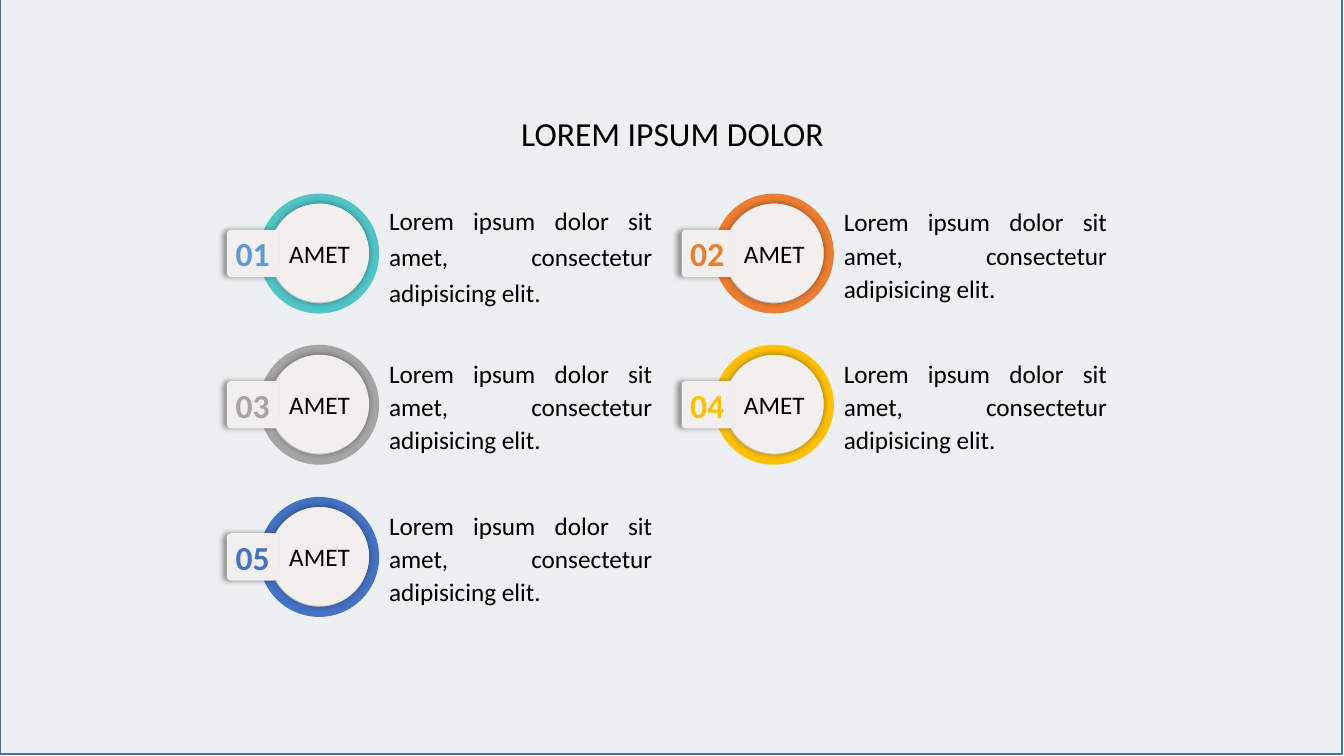
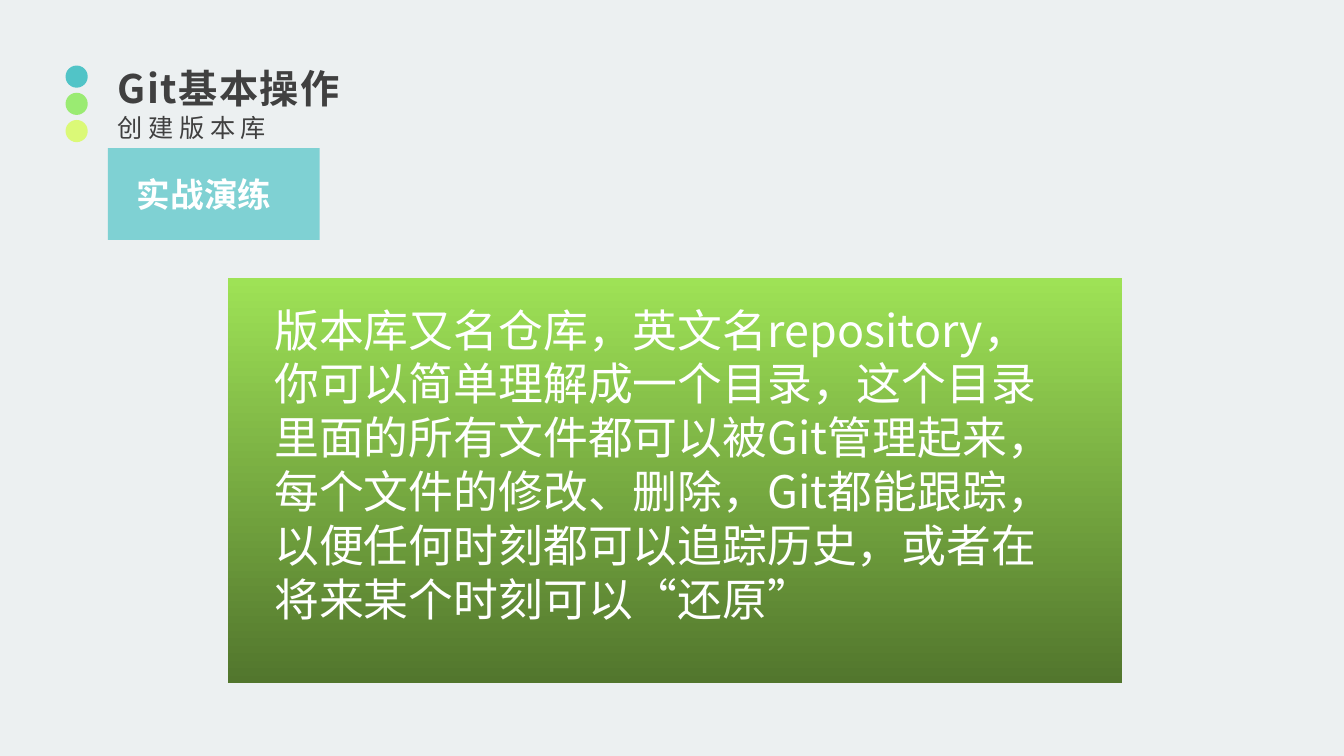
"""Build two slides: a numbered grid of topics and a Git repository lesson."""
from dataclasses import dataclass

from lxml import etree
from pptx import Presentation
from pptx import util as u
from pptx.dml.color import RGBColor
from pptx.enum import shapes, text
from pptx.oxml.ns import qn

PX = 9144
FORM = shapes.MSO_SHAPE
ALIGN = text.PP_ALIGN
ANCHOR = text.MSO_ANCHOR


@dataclass(frozen=True)
class Theme:
    page: str = "ECF0F1"
    white: str = "FFFFFF"
    black: str = "000000"
    heading: str = "404040"
    border: str = "43739E"
    paper: str = "F3EFEF"
    teal: str = "51C4C7"
    dots: tuple = ("51C4C7", "9AEB72", "DBF977")
    panel: tuple = ("9EE256", "52762D")
    latin: str = "Calibri"
    chinese: str = "Noto Sans CJK SC"
    small: int = 18
    medium: int = 24
    large: int = 28
    lesson: int = 32


THEME = Theme()


def draw(slide, form, box, fill, shadow=None):
    part = slide.shapes.add_shape(form, *(n * PX for n in box))
    part.shadow.inherit = False
    part.line.fill.background()
    part.fill.solid()
    part.fill.fore_color.rgb = RGBColor.from_string(fill)
    if shadow:
        blur, distance, angle = shadow
        effects = part.element.spPr.find(qn("a:effectLst"))
        outer = etree.SubElement(effects, qn("a:outerShdw"), blurRad=str(u.Pt(blur)),
                                 dist=str(u.Pt(distance)), dir=str(angle * 60000),
                                 algn="ctr", rotWithShape="0")
        tint = etree.SubElement(outer, qn("a:srgbClr"), val=THEME.black)
        etree.SubElement(tint, qn("a:alpha"), val="40000")
    return part


def write(part, words, size, color, face=THEME.latin, bold=False, spacing=0,
          align=ALIGN.LEFT, anchor=ANCHOR.TOP, leading=1.0, inset=None, box=None):
    if box:
        part.left, part.top, part.width, part.height = (n * PX for n in box)
    frame = part.text_frame
    frame.text = words
    paragraph = frame.paragraphs[0]
    run = paragraph.runs[0]
    frame_format = {"word_wrap": True, "auto_size": text.MSO_AUTO_SIZE.NONE,
                    "vertical_anchor": anchor}
    if inset is not None:
        frame_format |= {f"margin_{side}": inset for side in ("left", "top", "right", "bottom")}
    formats = (
        (frame, frame_format),
        (paragraph, {"alignment": align, "line_spacing": leading, "space_before": u.Pt(0)}),
        (run.font, {"name": face, "size": u.Pt(size), "bold": bold}),
        (run.font.color, {"rgb": RGBColor.from_string(color)}),
    )
    for target, values in formats:
        for name, value in values.items():
            setattr(target, name, value)
    for properties in part.element.iter(qn("a:rPr")):
        etree.SubElement(properties, qn("a:ea"), typeface=face)
        if spacing:
            properties.set("spc", str(spacing * 100))


prs = Presentation()
prs.slide_width, prs.slide_height = 1333 * PX, 750 * PX
page_fill = prs.slide_master.background.fill
page_fill.solid()
page_fill.fore_color.rgb = RGBColor.from_string(THEME.page)

topics = prs.slides.add_slide(prs.slide_layouts[5])
topics.background.fill.solid()
topics.background.fill.fore_color.rgb = RGBColor.from_string(THEME.white)
backdrop = draw(topics, FORM.RECTANGLE, (0, -3, 1331, 751), THEME.page)
backdrop.line.color.rgb = RGBColor.from_string(THEME.border)
backdrop.line.width = u.Pt(1)
heading = topics.shapes.title
backdrop.element.addnext(heading.element)
write(heading, "LOREM IPSUM DOLOR", THEME.medium, THEME.black,
      align=ALIGN.CENTER, box=(242, 107, 850, 50))

centred = {"align": ALIGN.CENTER, "anchor": ANCHOR.MIDDLE, "inset": 0}
topic_colors = [(THEME.teal, "5B9BD5"), ("ED7D31", "ED7D31"), ("A5A5A5", "A5A5A5"),
                ("FFC000", "FFC000"), ("4472C4", "4472C4")]
for index, (ring_color, number_color) in enumerate(topic_colors):
    row, column = divmod(index, 2)
    left, top = 225 + column * 451, 192 + row * 301 // 2
    ring = draw(topics, FORM.DONUT, (left + 32, top, 119, 119), ring_color)
    ring.adjustments[0] = 10 / 119
    disc = draw(topics, FORM.OVAL, (left + 43, top + 10, 98, 98), THEME.paper, (5, 0, 0))
    write(disc, "AMET", THEME.small, THEME.black, **centred)
    badge = draw(topics, FORM.ROUNDED_RECTANGLE, (left, top + 36, 51, 47),
                 THEME.paper, (4, 3, 180))
    badge.adjustments[0] = 0.09
    write(badge, f"{index + 1:02}", THEME.medium, number_color, bold=True, **centred)
    summary = topics.shapes.add_textbox(0, 0, PX, PX)
    write(summary, "Lorem ipsum dolor sit amet, consectetur adipisicing elit.",
          THEME.small, THEME.black, align=ALIGN.JUSTIFY, anchor=ANCHOR.MIDDLE,
          leading=1.1 if index else 1.2, box=(left + 151, top, 281, 119))

lesson = prs.slides.add_slide(prs.slide_layouts[1])
for index, color in enumerate(THEME.dots):
    draw(lesson, FORM.OVAL, (65, 65 + index * 27, 22, 22), color)
write(lesson.shapes.title, "Git基本操作", THEME.large, THEME.heading, THEME.chinese,
      bold=True, spacing=1, box=(107, 59, 329, 57))
subtitle = lesson.shapes.add_textbox(0, 0, PX, PX)
write(subtitle, "创建版本库", THEME.small, THEME.heading, THEME.chinese,
      spacing=4, box=(107, 107, 345, 40))

tag = draw(lesson, FORM.RECTANGLE, (107, 147, 210, 91), THEME.teal)
for tint in tag.element.spPr.iter(qn("a:srgbClr")):
    etree.SubElement(tint, qn("a:alpha"), val="70000")
tag_label = lesson.shapes.add_textbox(0, 0, PX, PX)
write(tag_label, "实战演练", THEME.medium, THEME.white, THEME.chinese,
      bold=True, box=(126, 168, 244, 50))

panel = draw(lesson, FORM.RECTANGLE, (226, 276, 887, 402), THEME.panel[0])
panel.fill.gradient()
panel.fill.gradient_angle = 270
for position, (stop, color) in enumerate(zip(panel.fill.gradient_stops, THEME.panel)):
    stop.position = position
    stop.color.rgb = RGBColor.from_string(color)

definition = lesson.placeholders[1]
panel.element.addnext(definition.element)
write(definition,
      "版本库又名仓库，英文名repository，你可以简单理解成一个目录，这个目录里面的所有文件都可以被Git管理起来，"
      "每个文件的修改、删除，Git都能跟踪，以便任何时刻都可以追踪历史，或者在将来某个时刻可以“还原”",
      THEME.lesson, THEME.white, THEME.chinese, box=(262, 295, 809, 363))
for properties in definition.element.iter(qn("a:pPr")):
    properties.set("marL", "0")
    properties.set("indent", "0")
    etree.SubElement(properties, qn("a:buNone"))

prs.save("out.pptx")
